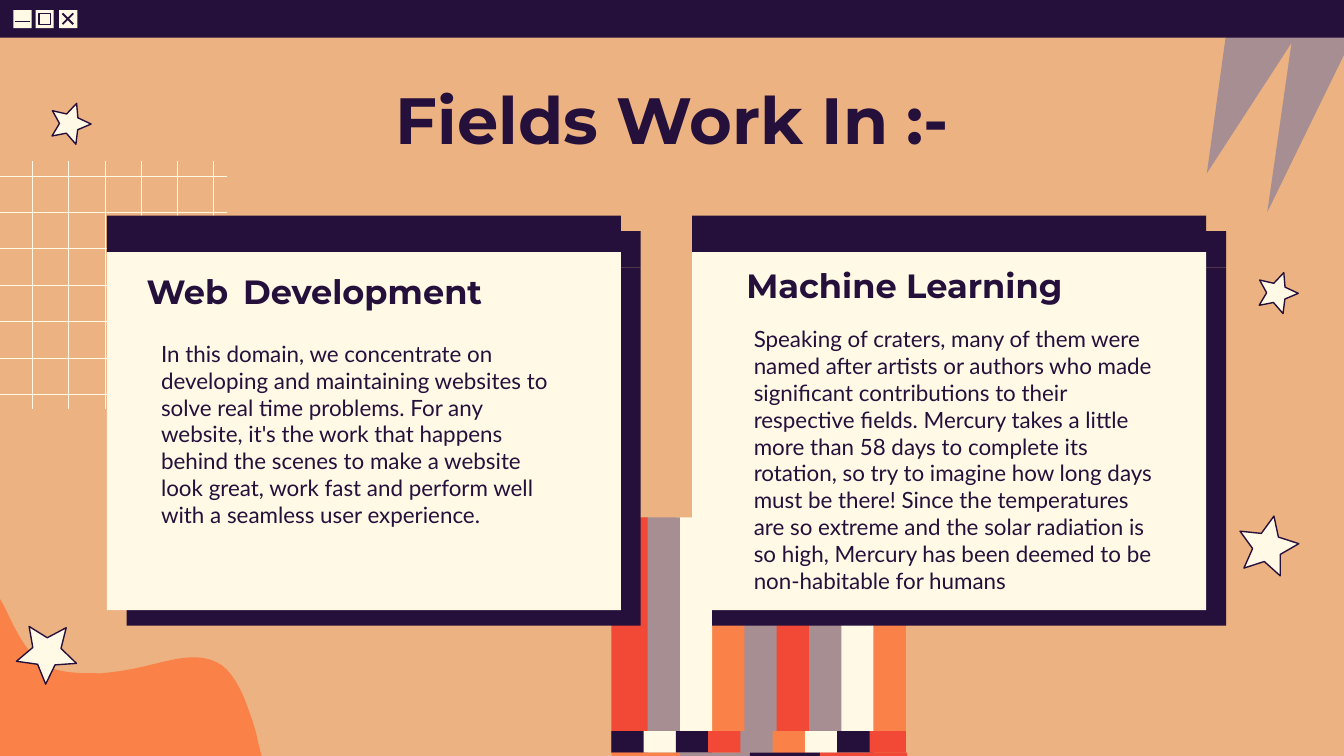
from math import cos, pi, radians, sin
from lxml import etree
from pptx import Presentation
from pptx.dml.color import RGBColor
from pptx.enum.shapes import MSO_CONNECTOR, MSO_SHAPE
from pptx.enum.text import MSO_ANCHOR, PP_ALIGN
from pptx.oxml.ns import qn
from pptx.util import Inches, Pt

RECT, STRAIGHT = MSO_SHAPE.RECTANGLE, MSO_CONNECTOR.STRAIGHT
TOP, LEFT, CENTER = MSO_ANCHOR.TOP, PP_ALIGN.LEFT, PP_ALIGN.CENTER


class Theme:
    SAND = RGBColor.from_string("ECB281")
    NIGHT = RGBColor.from_string("25103B")
    CREAM = RGBColor.from_string("FFF9E5")
    MAUVE = RGBColor.from_string("A78E92")
    ORANGE = RGBColor.from_string("FA8147")
    RED = RGBColor.from_string("F14936")
    HEAD_FONT, BODY_FONT = "Montserrat", "Lato"
    TITLE, HEADING, WIDE_SPACE, BODY = Pt(35), Pt(18), Pt(28), Pt(12)


prs = Presentation()
prs.slide_width, prs.slide_height = Inches(10), Inches(5.625)
s = prs.slides.add_slide(prs.slide_layouts[6])
s.background.fill.solid()
s.background.fill.fore_color.rgb = Theme.SAND

# Square grid: 100 columns across the slide
U = prs.slide_width / 100


def box(col, row, cols, rows, fill):
    sp = s.shapes.add_shape(RECT, *(round(v * U) for v in (col, row, cols, rows)))
    sp.shadow.inherit = False
    sp.fill.solid()
    sp.fill.fore_color.rgb = fill
    sp.line.fill.background()
    return sp


def polygon(points, fill, outline=None):
    pts = [(round(x * U), round(y * U)) for x, y in points]
    builder = s.shapes.build_freeform(*pts[0])
    builder.add_line_segments(pts[1:], close=True)
    sp = builder.convert_to_shape()
    sp.shadow.inherit = False
    sp.fill.solid()
    sp.fill.fore_color.rgb = fill
    if outline is None:
        sp.line.fill.background()
    else:
        sp.line.color.rgb = outline
        sp.line.width = Pt(0.75)


# Zigzag, top right
polygon([(91.5, 0.6), (102.4, 0.6), (102.4, 19.6), (102, 22.6), (100.1, 3.9),
         (94.3, 15.8), (96.1, 3.2), (89.8, 12.9)], Theme.MAUVE)

# Wave, bottom left: Bezier curves sampled into short segments
wave = [(-3.5, 41.8)]
curves = [
    ((-1.6, 42.1), (-0.4, 43.7), (0.4, 45.3)),
    ((1.3, 47.1), (2.1, 49.1), (4.1, 49.8)),
    ((5.1, 50.1), (6.2, 50.1), (7.5, 50.1)),
    ((8.7, 50), (9.9, 49.8), (11.1, 49.5)),
    ((12.8, 49.1), (14.9, 48.4), (16.5, 49.5)),
    ((17.3, 50.1), (17.8, 51.1), (18.2, 52)),
    ((18.6, 53.1), (19, 54.1), (19.2, 55.2)),
    ((19.5, 56.4), (19.8, 57.7), (20.4, 58.9)),
]
for b, c, d in curves:
    a = wave[-1]
    for t in (i / 12 for i in range(1, 13)):
        wave.append(tuple((1 - t) ** 3 * p + 3 * t * (1 - t) ** 2 * q
                          + 3 * t * t * (1 - t) * m + t ** 3 * n
                          for p, q, m, n in zip(a, b, c, d)))
polygon(wave + [(-3.6, 58.9), (-3.6, 41.8)], Theme.ORANGE)

# Striped block: tall bars, short bars, base
STRIPE_LEFT, STRIPE_STEP, STRIPE_W = 45.5, 2.4, 2.7
tall = [Theme.RED, Theme.MAUVE, Theme.CREAM, Theme.ORANGE, Theme.MAUVE,
        Theme.RED, Theme.MAUVE, Theme.CREAM, Theme.ORANGE]
short = [Theme.NIGHT, Theme.CREAM, Theme.NIGHT, Theme.RED, Theme.MAUVE,
         Theme.ORANGE, Theme.CREAM, Theme.NIGHT, Theme.RED]
for i in reversed(range(len(tall))):
    box(STRIPE_LEFT + i * STRIPE_STEP, 38.5, STRIPE_W, 17.5, tall[i])
for i, color in enumerate(short):
    box(STRIPE_LEFT + i * STRIPE_STEP, 54.4, STRIPE_W, 1.6, color)
for col, cols, color in [(45.5, 5.1, Theme.ORANGE), (50.6, 5.2, Theme.MAUVE),
                         (55.8, 5.2, Theme.NIGHT), (61, 6.5, Theme.RED)]:
    box(col, 56, cols, 3.8, color)

# Window bar with its three buttons
box(0, 0, 100, 2.8, Theme.NIGHT)
for col in (1, 2.65, 4.4):
    box(col, 0.75, 1.35, 1.35, Theme.CREAM)
square = box(2.9, 1, 0.85, 0.85, Theme.CREAM)
square.line.color.rgb = Theme.NIGHT
square.line.width = Pt(0.75)

# Background grid and button strokes
lines = [(x, 12, x, 30.4, Theme.CREAM, 0.5)
         for x in (2.42 + 2.7 * i for i in range(6))]
lines += [(-1.3, y, 16.9, y, Theme.CREAM, 0.5)
          for y in (13.1 + 2.71 * i for i in range(7))]
lines += [(1.1, 1.6, 2.2, 1.6, Theme.NIGHT, 1),
          (4.65, 1, 5.45, 1.8, Theme.NIGHT, 1),
          (4.65, 1.8, 5.45, 1, Theme.NIGHT, 1)]
for x1, y1, x2, y2, color, width in lines:
    ln = s.shapes.add_connector(STRAIGHT, *(round(v * U) for v in (x1, y1, x2, y2)))
    ln.line.color.rgb = color
    ln.line.width = Pt(width)
    etree.SubElement(ln._element.spPr, qn("a:effectLst"))

# Stars: centre, radius, angle of the first tip
for cx, cy, radius, tilt in [(94.3, 40.7, 2.35, -78), (5.18, 9.2, 1.6, -71),
                             (3.48, 48.56, 2.35, -52), (95, 21.8, 1.6, -71)]:
    tips = []
    for i in range(10):
        reach = radius * (0.47 if i % 2 else 1)
        angle = radians(tilt) + i * pi / 5
        tips.append((cx + reach * cos(angle), cy + reach * sin(angle)))
    polygon(tips, Theme.CREAM, Theme.NIGHT)

# Cards: header and body, each over a hard offset shadow
for col in (51.5, 7.95):
    for row, rows, color in [(16.05, 2.7, Theme.NIGHT), (18.75, 26.65, Theme.CREAM)]:
        box(col + 1.48, row + 1.15, 38.25, rows, Theme.NIGHT)
        box(col, row, 38.25, rows, color)

# Texts: place, alignment, font, bold, runs with their sizes
texts = [
    ((7.9, 4.9, 84.3, 6.3), CENTER, Theme.HEAD_FONT, True,
     [("Fields Work In :-", Theme.TITLE)]),
    ((55.1, 23.2, 32.2, 24.4), LEFT, Theme.BODY_FONT, False,
     [("Speaking of craters, many of them were named after artists or authors "
       "who made significant contributions to their respective fields. Mercury "
       "takes a little more than 58 days to complete its rotation, so try to "
       "imagine how long days must be there! Since the temperatures are so "
       "extreme and the solar radiation is so high, Mercury has been deemed to "
       "be non-habitable for humans", Theme.BODY)]),
    ((11, 24.3, 32.2, 24.4), LEFT, Theme.BODY_FONT, False,
     [("In this domain, we concentrate on developing and maintaining websites "
       "to solve real time problems. For any website, it's the work that "
       "happens behind the scenes to make a website look great, work fast and "
       "perform well with a seamless user experience.", Theme.BODY)]),
    ((4.6, 17.8, 37.6, 5.4), CENTER, Theme.HEAD_FONT, True,
     [("Web", Theme.HEADING), (" ", Theme.WIDE_SPACE), ("Development", Theme.HEADING)]),
    ((48.5, 18.7, 37.6, 5.4), CENTER, Theme.HEAD_FONT, True,
     [("Machine Learning", Theme.HEADING)]),
]
for place, align, font, bold, runs in texts:
    tf = s.shapes.add_textbox(*(round(v * U) for v in place)).text_frame
    tf.word_wrap = True
    tf.vertical_anchor = TOP
    tf.margin_left = tf.margin_right = tf.margin_top = tf.margin_bottom = round(U)
    p = tf.paragraphs[0]
    p.alignment = align
    p.font.name, p.font.bold = font, bold
    p.font.color.rgb = Theme.NIGHT
    for text, size in runs:
        r = p.add_run()
        r.text = text
        r.font.size = size

prs.save("out.pptx")
